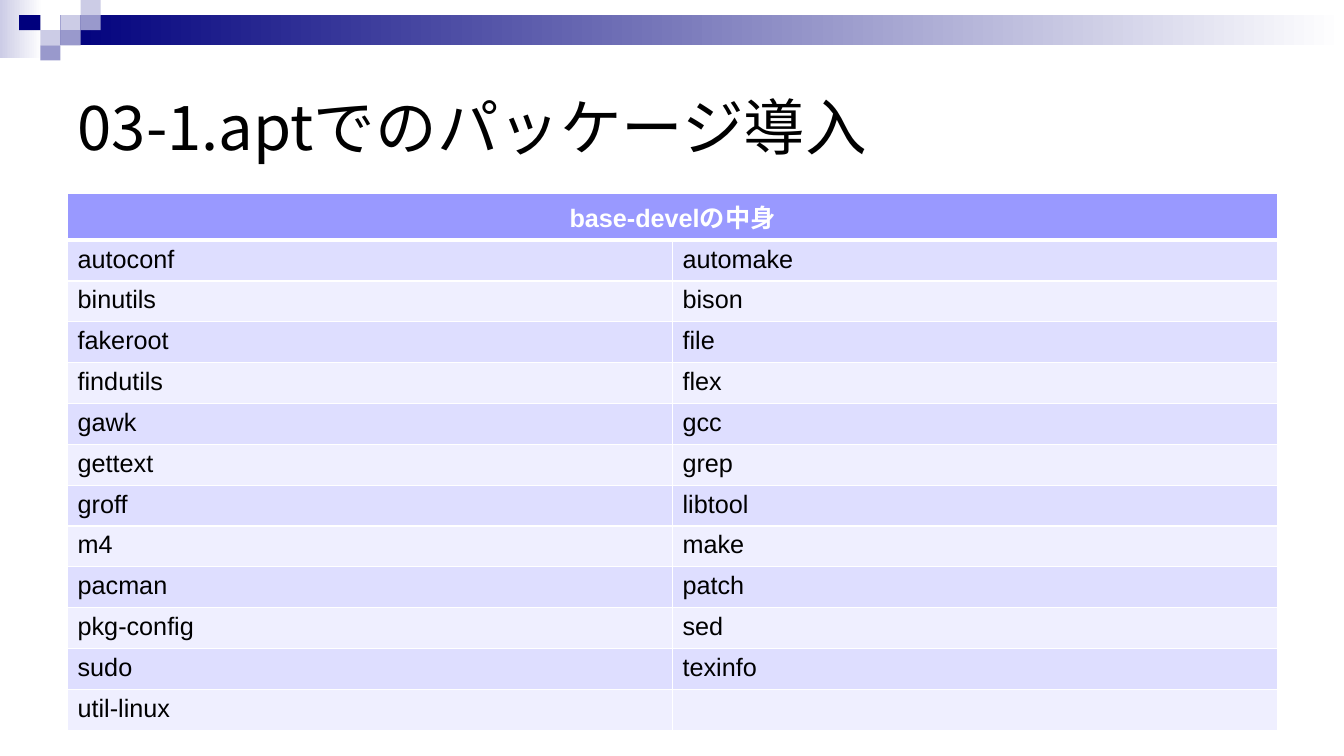
"""Build a slide that lists the contents of base-devel in a table."""
from lxml import etree
from pptx import Presentation
from pptx.dml.color import RGBColor
from pptx.enum import shapes, text
from pptx.oxml import ns
from pptx.util import Inches, Pt

NAVY = RGBColor(0x00, 0x00, 0x7D)
MID = RGBColor(0x99, 0x99, 0xCC)
PALE = RGBColor(0xCC, 0xCC, 0xE6)
WHITE = RGBColor(0xFF, 0xFF, 0xFF)
BLACK = RGBColor(0x00, 0x00, 0x00)
HEAD = RGBColor(0x99, 0x99, 0xFF)
BANDS = [RGBColor(0xEF, 0xEF, 0xFF), RGBColor(0xDE, 0xDE, 0xFF)]
KANA = "Noto Sans CJK JP"


def style(para, name, size, color, bold=False):
    font = para.font
    font.name, font.size, font.bold = name, Pt(size), bold
    font.color.rgb = color
    east = etree.SubElement(font._element, ns.qn("a:ea"))
    east.set("typeface", KANA)


def paint(cell, color, base=1):
    cell.fill.solid()
    cell.fill.fore_color.rgb = color
    props = cell._tc.get_or_add_tcPr()
    for spot, side in enumerate(("lnL", "lnR", "lnT", "lnB")):
        line = etree.Element(ns.qn("a:" + side))
        line.set("w", str(Pt(base if side == "lnB" else 1)))
        fill = etree.SubElement(line, ns.qn("a:solidFill"))
        etree.SubElement(fill, ns.qn("a:srgbClr")).set("val", str(WHITE))
        props.insert(spot, line)


deck = Presentation()
deck.slide_width, deck.slide_height = Inches(13.33), Inches(7.5)
slide = deck.slides.add_slide(deck.slide_layouts[5])

blocks = [
    (0, 0, 0.42, 0.58, PALE, True),
    (0.6, 0.15, 12.73, 0.3, NAVY, True),
    (0.6, 0.15, 0.2, 0.15, PALE, False),
    (0.8, 0, 0.2, 0.15, PALE, False),
    (0.8, 0.15, 0.2, 0.15, MID, False),
    (0.4, 0.3, 0.2, 0.15, PALE, False),
    (0.19, 0.15, 0.21, 0.15, NAVY, False),
    (0.6, 0.3, 0.2, 0.15, MID, False),
    (0.4, 0.45, 0.2, 0.15, MID, False),
]
for *box, color, fade in blocks:
    block = slide.shapes.add_shape(shapes.MSO_SHAPE.RECTANGLE, *map(Inches, box))
    block.shadow.inherit = False
    block.line.fill.background()
    if fade:
        block.fill.gradient()
        block.fill.gradient_angle = 0
        for stop, tint in zip(block.fill.gradient_stops, (color, WHITE)):
            stop.color.rgb = tint
    else:
        block.fill.solid()
        block.fill.fore_color.rgb = color

title = slide.shapes.title
title.left, title.top = Inches(0.67), Inches(0.5)
title.width, title.height = Inches(12), Inches(1.5)
title.text = "03-1.aptでのパッケージ導入"
title.text_frame.vertical_anchor = text.MSO_ANCHOR.MIDDLE
para = title.text_frame.paragraphs[0]
para.alignment = text.PP_ALIGN.LEFT
style(para, KANA, 44, BLACK)

pairs = [
    ("autoconf", "automake"),
    ("binutils", "bison"),
    ("fakeroot", "file"),
    ("findutils", "flex"),
    ("gawk", "gcc"),
    ("gettext", "grep"),
    ("groff", "libtool"),
    ("m4", "make"),
    ("pacman", "patch"),
    ("pkg-config", "sed"),
    ("sudo", "texinfo"),
    ("util-linux", ""),
]
grid = slide.shapes.add_table(
    len(pairs) + 1, 2, Inches(0.67), Inches(1.92), Inches(12), Inches(5.27)
).table
head = grid.cell(0, 0)
head.merge(grid.cell(0, 1))
head.text = "base-develの中身"
para = head.text_frame.paragraphs[0]
para.alignment = text.PP_ALIGN.CENTER
style(para, "Arial", 18, WHITE, True)
for col in range(2):
    paint(grid.cell(0, col), HEAD, 3)

for row, pair in enumerate(pairs, 1):
    for col, name in enumerate(pair):
        cell = grid.cell(row, col)
        cell.text = name
        style(cell.text_frame.paragraphs[0], "Arial", 18, BLACK)
        paint(cell, BANDS[row % 2])

deck.save("out.pptx")
